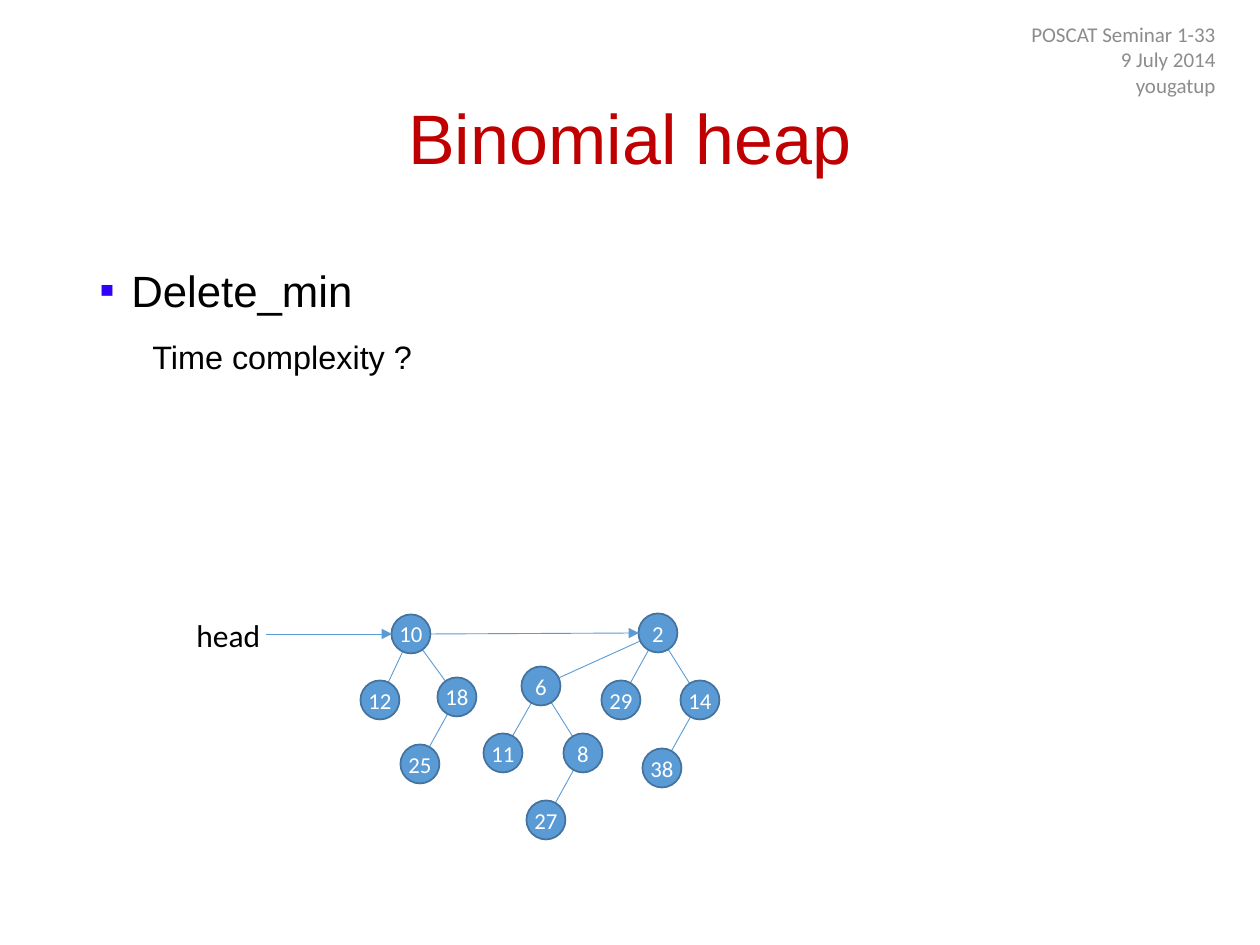
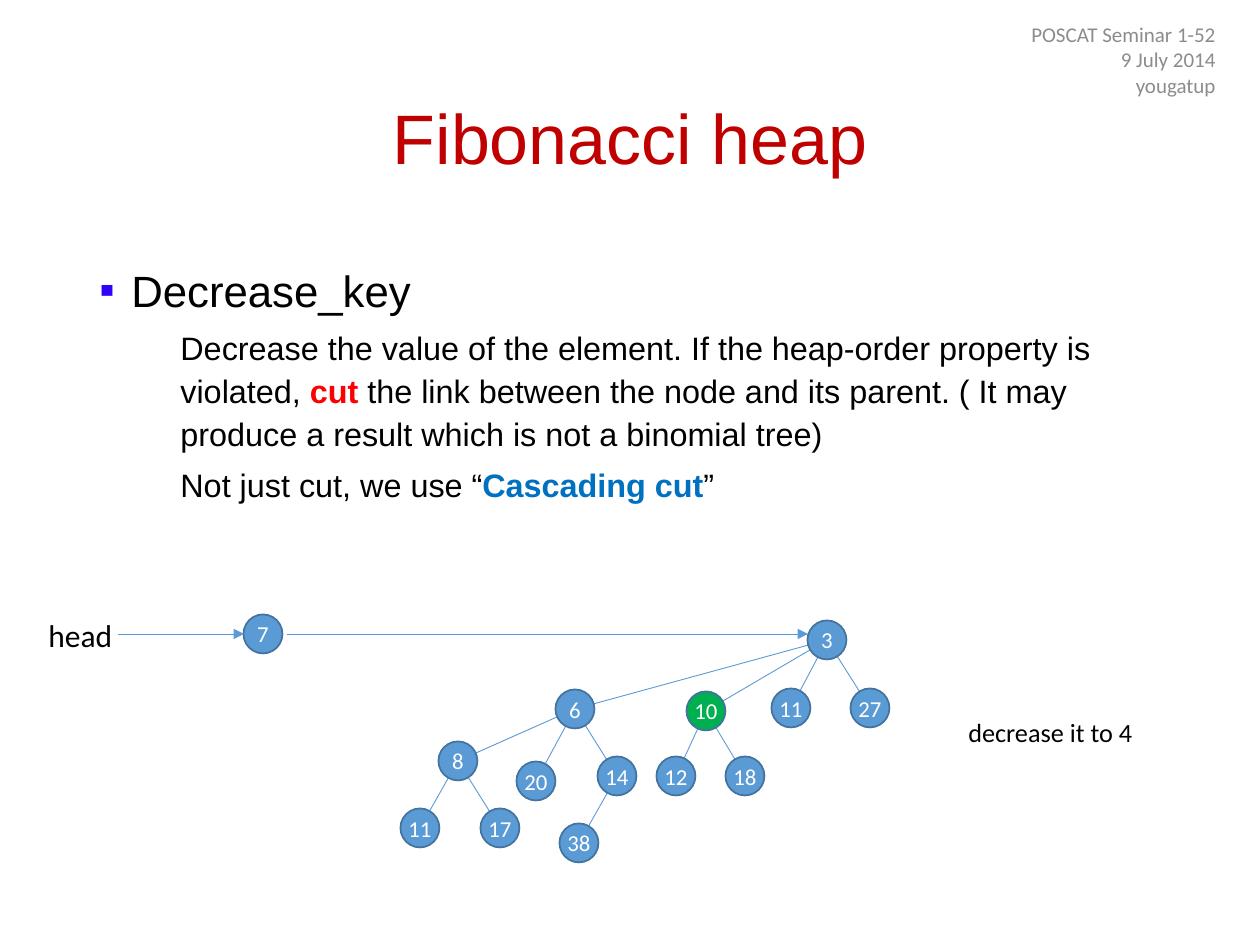
from lxml import etree
from pptx import Presentation
from pptx.dml.color import RGBColor
from pptx.enum import shapes, text
from pptx.oxml import ns
from pptx import util as u

PX = u.Inches(1) // 126
NODE_SIZE = 39
NODE_LABEL_SIZE = 13
BLACK, WHITE, TITLE_RED, HEADER_GREY = "000000", "FFFFFF", "C00000", "8C8C8C"
BULLET_BLUE, CUT_RED, CASCADE_BLUE = "3102F8", "FF0000", "0070C0"
NODE_BLUE, NODE_LINE, DECREASED_GREEN = "5B9BD5", "43739E", "00B050"
HEADING_FONT, LABEL_FONT = "Arial", "Calibri"
LINE_BREAK = ("\n", BLACK)

# A node is (value, centre x, centre y, children, fill if not blue).
BINOMIAL_TREES = [
    ("10", 411, 634, [
        ("12", 380, 700),
        ("18", 457, 697, [("25", 420, 764)]),
    ]),
    ("2", 658, 633, [
        ("6", 541, 686, [
            ("11", 503, 753),
            ("8", 583, 753, [("27", 546, 820)]),
        ]),
        ("29", 621, 700),
        ("14", 700, 700, [("38", 662, 768)]),
    ]),
]
FIBONACCI_TREES = [
    ("7", 263, 634),
    ("3", 827, 640, [
        ("6", 575, 709, [
            ("8", 458, 761, [("11", 420, 828), ("17", 500, 828)]),
            ("20", 536, 781),
            ("14", 617, 776, [("38", 579, 843)]),
        ]),
        ("10", 706, 711, [("12", 676, 776), ("18", 745, 776)], DECREASED_GREEN),
        ("11", 791, 708),
        ("27", 870, 708),
    ]),
]


def colour(hex_string):
    return RGBColor.from_string(hex_string)


def px(*lengths):
    return [length * PX for length in lengths]


def style(run, font, size, hex_string, bold=False):
    run.font.name = font
    run.font.size = u.Pt(size)
    run.font.bold = bold
    run.font.color.rgb = colour(hex_string)


def add_text(slide, box, content, font, size, hex_string, align=None,
             anchor=text.MSO_ANCHOR.TOP, wrap=True):
    text_frame = slide.shapes.add_textbox(*px(*box)).text_frame
    text_frame.word_wrap = wrap
    text_frame.vertical_anchor = anchor
    text_frame.text = content
    for paragraph in text_frame.paragraphs:
        paragraph.alignment = align
        for run in paragraph.runs:
            style(run, font, size, hex_string)
    return text_frame


def add_title(slide, title):
    text_frame = add_text(slide, (87, 50, 1086, 183), title, HEADING_FONT, 40, TITLE_RED,
                          text.PP_ALIGN.CENTER, text.MSO_ANCHOR.MIDDLE)
    text_frame.paragraphs[0].line_spacing = 0.9


def add_header(slide, number):
    add_text(slide, (944, 25, 284, 69), f"POSCAT Seminar 1-{number}\n9 July 2014\nyougatup",
             LABEL_FONT, 12, HEADER_GREY, text.PP_ALIGN.RIGHT, text.MSO_ANCHOR.MIDDLE)


def indent(paragraph, margin, first_line=0):
    properties = paragraph._p.get_or_add_pPr()
    properties.set("marL", str(margin * PX))
    properties.set("indent", str(first_line * PX))
    return properties


def add_bullet(paragraph):
    properties = indent(paragraph, 32, -32)
    bullet_colour = etree.SubElement(properties, ns.qn("a:buClr"))
    etree.SubElement(bullet_colour, ns.qn("a:srgbClr"), val=BULLET_BLUE)
    etree.SubElement(properties, ns.qn("a:buFont"), typeface=HEADING_FONT)
    etree.SubElement(properties, ns.qn("a:buChar"), char="▪")


def add_body(slide, heading, details, margin, space):
    """Add a bulleted heading and details, each a list of (words, colour) parts."""
    text_frame = add_text(slide, (87, 252, 1140, 600), heading, HEADING_FONT, 25, BLACK)
    first = text_frame.paragraphs[0]
    first.line_spacing, first.space_before = 1.1, u.Pt(10)
    add_bullet(first)
    for parts in details:
        paragraph = text_frame.add_paragraph()
        paragraph.line_spacing, paragraph.space_before = 1.1, u.Pt(space)
        indent(paragraph, margin)
        for part in parts:
            if part == LINE_BREAK:
                paragraph.add_line_break()
                continue
            words, hex_string = part
            run = paragraph.add_run()
            run.text = words
            style(run, HEADING_FONT, 18.5, hex_string, bold=hex_string != BLACK)


def add_line(slide, start, end, arrow=False):
    connector = slide.shapes.add_connector(shapes.MSO_CONNECTOR.STRAIGHT, *px(*start, *end))
    connector.line.color.rgb = colour(NODE_BLUE)
    connector.line.width = u.Pt(0.5)
    if arrow:
        etree.SubElement(connector.line._get_or_add_ln(), ns.qn("a:tailEnd"), type="triangle")
    etree.SubElement(connector._element.spPr, ns.qn("a:effectLst"))


def add_node(slide, value, x, y, fill):
    corner = px(x - NODE_SIZE / 2, y - NODE_SIZE / 2)
    shape = slide.shapes.add_shape(shapes.MSO_SHAPE.OVAL, *map(int, corner),
                                   *px(NODE_SIZE, NODE_SIZE))
    shape.shadow.inherit = False
    shape.fill.solid()
    shape.fill.fore_color.rgb = colour(fill)
    shape.line.color.rgb = colour(NODE_LINE)
    shape.line.width = u.Pt(1)
    text_frame = shape.text_frame
    text_frame.margin_left = text_frame.margin_right = 0
    text_frame.margin_top = text_frame.margin_bottom = 0
    text_frame.vertical_anchor = text.MSO_ANCHOR.MIDDLE
    text_frame.word_wrap = False
    text_frame.text = value
    paragraph = text_frame.paragraphs[0]
    paragraph.alignment = text.PP_ALIGN.CENTER
    style(paragraph.runs[0], LABEL_FONT, NODE_LABEL_SIZE, WHITE)


def add_tree(slide, value, x, y, children=(), fill=NODE_BLUE):
    """Draw the edges first, so that every node covers the ends of its edges."""
    for child in children:
        add_line(slide, (x, y), child[1:3])
    for child in children:
        add_tree(slide, *child)
    add_node(slide, value, x, y, fill)


def add_heap(slide, trees, head_left, root_link):
    """Draw the trees, the head label with its arrow, and the arrow between the roots."""
    for tree in trees:
        add_tree(slide, *tree)
    add_text(slide, (head_left, 610, 91, 50), "head", LABEL_FONT, 18, BLACK, wrap=False)
    add_line(slide, (head_left + 82, 634), (head_left + 208, 634), arrow=True)
    add_line(slide, *root_link, arrow=True)


def add_slide(presentation, title, number):
    slide = presentation.slides.add_slide(presentation.slide_layouts[6])
    add_title(slide, title)
    add_header(slide, number)
    return slide


def main():
    presentation = Presentation()
    presentation.slide_width, presentation.slide_height = px(1260, 945)

    binomial = add_slide(presentation, "Binomial heap", 33)
    add_body(binomial, "Delete_min", [[("Time complexity ?", BLACK)]], margin=53, space=10)
    add_heap(binomial, BINOMIAL_TREES, 184, ((431, 634), (639, 633)))

    fibonacci = add_slide(presentation, "Fibonacci heap", 52)
    add_body(fibonacci, "Decrease_key", [
        [("Decrease the value of the element. If the heap-order property is", BLACK), LINE_BREAK,
         ("violated, ", BLACK), ("cut ", CUT_RED),
         ("the link between the node and its parent. ( It may", BLACK), LINE_BREAK,
         ("produce a result which is not a binomial tree)", BLACK)],
        [("Not just cut, we use “", BLACK), ("Cascading cut", CASCADE_BLUE), ("”", BLACK)],
    ], margin=81, space=5)
    add_heap(fibonacci, FIBONACCI_TREES, 36, ((287, 634), (808, 634)))
    add_text(fibonacci, (956, 710, 192, 44), "decrease it to 4", LABEL_FONT, 15, BLACK,
             wrap=False)

    presentation.save("out.pptx")


if __name__ == "__main__":
    main()
